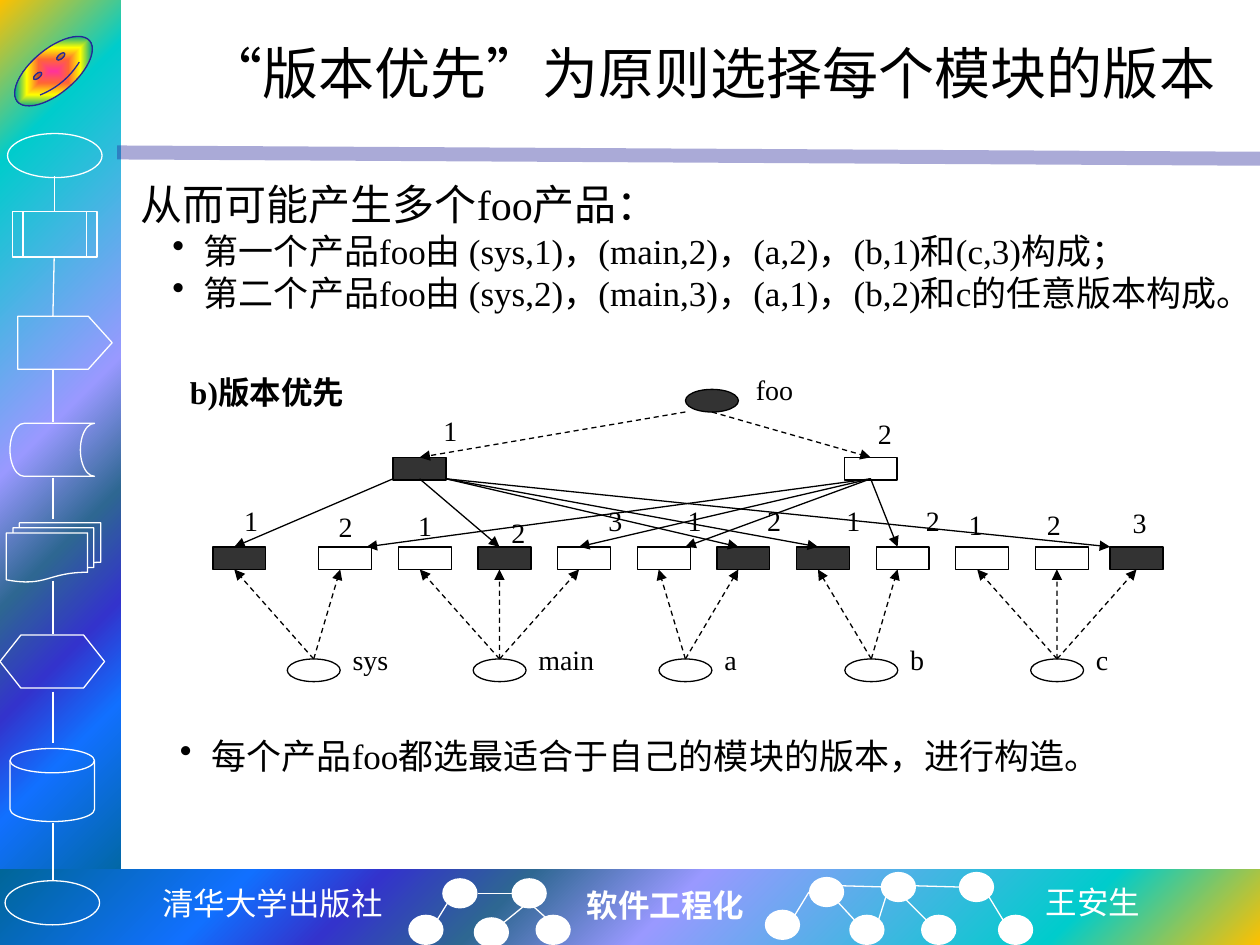
from dataclasses import dataclass

import pptx
import pptx.dml.color
import pptx.enum.dml
import pptx.enum.shapes
import pptx.enum.text
import pptx.oxml
import pptx.oxml.ns
import pptx.util

Inches, Pt = pptx.util.Inches, pptx.util.Pt
Shape = pptx.enum.shapes.MSO_SHAPE
Align = pptx.enum.text.PP_ALIGN
qn = pptx.oxml.ns.qn
NAMESPACE = 'xmlns:a="http://schemas.openxmlformats.org/drawingml/2006/main"'


@dataclass(frozen=True)
class Theme:
    black: str = "000000"
    white: str = "FFFFFF"
    selected: str = "333333"
    rule: str = "262699"
    band: tuple = ((0, "FFC000"), (16, "00CCCC"), (47, "9999FF"), (60, "2E6792"),
                   (71, "3333CC"), (81, "1170FF"), (100, "006699"))
    rainbow: tuple = ((0, "FF3399"), (25, "FF6633"), (50, "FFFF00"),
                      (75, "01A78F"), (100, "3366FF"))
    font: str = "Times New Roman"
    asian_font: str = "Noto Sans CJK SC"
    mono_font: str = "Noto Sans Mono"
    title_size: int = 32
    lead_size: int = 24
    bullet_size: int = 20
    caption_size: int = 18
    label_size: int = 16
    line_width: float = 0.75


class SlideBuilder:
    def __init__(self, slide, theme):
        self.slide, self.theme = slide, theme

    def rgb(self, value):
        return pptx.dml.color.RGBColor.from_string(value)

    def shape(self, kind, left, top, width, height, fill=None, line=None):
        shape = self.slide.shapes.add_shape(
            kind, Inches(left), Inches(top), Inches(width), Inches(height))
        shape.shadow.inherit = False
        if fill:
            shape.fill.solid()
            shape.fill.fore_color.rgb = self.rgb(fill)
        else:
            shape.fill.background()
        if line:
            shape.line.color.rgb = self.rgb(line)
            shape.line.width = Pt(self.theme.line_width)
        else:
            shape.line.fill.background()
        return shape

    def path_gradient(self, shape, stops, path, focus):
        """Fill from a focus, given as left, top, right and bottom percent."""
        stop_xml = "".join(f'<a:gs pos="{place * 1000}"><a:srgbClr val="{color}"/></a:gs>'
                           for place, color in stops)
        edges = " ".join(f'{side}="{value * 1000}"' for side, value in zip("ltrb", focus))
        gradient = pptx.oxml.parse_xml(
            f'<a:gradFill {NAMESPACE} rotWithShape="1"><a:gsLst>{stop_xml}</a:gsLst>'
            f'<a:path path="{path}"><a:fillToRect {edges}/></a:path></a:gradFill>')
        properties = shape.element.spPr
        properties.replace(properties.find(qn("a:noFill")), gradient)

    def line(self, start, end, color, width=None, dashed=False, arrow=False, alpha=None):
        connector = self.slide.shapes.add_connector(
            pptx.enum.shapes.MSO_CONNECTOR.STRAIGHT, *map(Inches, (*start, *end)))
        connector.line.color.rgb = self.rgb(color)
        connector.line.width = Pt(width or self.theme.line_width)
        if dashed:
            connector.line.dash_style = pptx.enum.dml.MSO_LINE.DASH
        properties = connector.element.spPr
        if arrow:
            properties.find(qn("a:ln")).append(
                pptx.oxml.parse_xml(f'<a:tailEnd {NAMESPACE} type="triangle"/>'))
        if alpha:
            properties.find(".//" + qn("a:srgbClr")).append(
                pptx.oxml.parse_xml(f'<a:alpha {NAMESPACE} val="{alpha * 1000}"/>'))
        properties.append(pptx.oxml.parse_xml(f"<a:effectLst {NAMESPACE}/>"))

    def span(self, para, text, size, color=None, bold=False, font=None):
        span = para.add_run()
        span.text = text
        span.font.size, span.font.bold = Pt(size), bold
        span.font.name = font or self.theme.font
        span.font.color.rgb = self.rgb(color or self.theme.black)
        span.font.fill.fore_color  # the solid fill precedes the typeface elements
        latin = span.font._element.find(qn("a:latin"))
        latin.addnext(pptx.oxml.parse_xml(
            f'<a:ea {NAMESPACE} typeface="{self.theme.asian_font}"/>'))

    def title(self, text, left, top, width, height):
        box = self.slide.shapes.title
        box.left, box.top, box.width, box.height = map(Inches, (left, top, width, height))
        box.text_frame.vertical_anchor = pptx.enum.text.MSO_ANCHOR.MIDDLE
        para = box.text_frame.paragraphs[0]
        para.alignment = Align.RIGHT
        self.span(para, text, self.theme.title_size)

    def text_box(self, left, top, width, height, wrap=True):
        box = self.slide.shapes.add_textbox(*map(Inches, (left, top, width, height)))
        box.text_frame.word_wrap = wrap
        return box.text_frame

    def label(self, text, left, top, width=0.63, height=0.54, indent=0, size=None, bold=False):
        para = self.text_box(left, top, width, height).paragraphs[0]
        para.alignment = Align.JUSTIFY
        if indent:
            para._p.get_or_add_pPr().set("indent", str(Inches(indent)))
            para.line_spacing = Pt(16.6)
        self.span(para, text, size or self.theme.label_size, bold=bold)

    def footer(self, text, left, top, width, bold=False, font=None):
        para = self.text_box(left, top, width, 0.4, wrap=False).paragraphs[0]
        self.span(para, text, self.theme.caption_size, self.theme.white, bold, font)

    def bullet(self, para, text):
        para.level = 1
        properties = para._p.get_or_add_pPr()
        properties.set("marL", str(Inches(0.5)))
        properties.set("indent", str(Inches(-0.25)))
        properties.append(pptx.oxml.parse_xml(f'<a:buChar {NAMESPACE} char="•"/>'))
        self.span(para, text, self.theme.bullet_size)


def draw_frame(page):
    theme = page.theme
    side = page.shape(Shape.RECTANGLE, 0, 0, 0.96, 7.09)
    page.path_gradient(side, theme.band, "circle", (0, 0, 100, 100))
    bottom = page.shape(Shape.RECTANGLE, 0, 6.9, 10, 0.6)
    page.path_gradient(bottom, theme.band, "circle", (100, 100, 0, 0))
    page.line((0.93, 1.21), (10, 1.26), theme.rule, width=8, alpha=39)

    for kind, *place in (
            (Shape.OVAL, 0.06, 1.06, 0.75, 0.35),
            (Shape.FLOWCHART_PREDEFINED_PROCESS, 0.1, 1.68, 0.67, 0.36),
            (Shape.PENTAGON, 0.14, 2.51, 0.75, 0.42),
            (Shape.FLOWCHART_STORED_DATA, 0.08, 3.36, 0.67, 0.42),
            (Shape.FLOWCHART_MULTIDOCUMENT, 0.05, 4.15, 0.75, 0.47),
            (Shape.FLOWCHART_PREPARATION, 0, 5.04, 0.83, 0.42),
            (Shape.FLOWCHART_MAGNETIC_DISK, 0.08, 5.94, 0.67, 0.58),
            (Shape.OVAL, 0.04, 6.99, 0.75, 0.35)):
        symbol = page.shape(kind, *place, line=theme.white)
        if kind == Shape.PENTAGON:
            symbol.adjustments[0] = 0.45
    for top, end in ((1.4, 1.68), (2.05, 2.51), (2.93, 3.35), (3.79, 4.12),
                     (4.61, 5.03), (5.49, 5.9), (6.53, 6.99)):
        page.line((0.43 if top < 2.5 else 0.42, top),
                  (0.43 if top < 2 else 0.42, end), theme.white)
    smiley = page.shape(Shape.SMILEY_FACE, 0.05, 0.39, 0.75, 0.35, line=theme.rule)
    page.path_gradient(smiley, theme.rainbow, "rect", (50, 50, 50, 50))
    smiley.rotation = -40

    for left, top in ((3.24, 7.26), (3.51, 6.97), (3.76, 7.28), (4.06, 6.97), (4.25, 7.26),
                      (6.07, 7.22), (6.42, 6.96), (6.74, 7.26), (6.99, 6.92), (7.31, 7.26),
                      (7.61, 6.92), (7.92, 7.26)):
        page.shape(Shape.OVAL, left, top, 0.28, 0.24, fill=theme.white)
    for start, end in (
            ((3.47, 7.3), (3.55, 7.17)), ((4, 7.32), (4.16, 7.19)), ((4.06, 7.09), (3.79, 7.09)),
            ((4.34, 7.29), (4.24, 7.2)), ((6.31, 7.26), (6.42, 7.08)), ((6.78, 7.3), (6.65, 7.16)),
            ((6.68, 7.03), (7.03, 7.04)), ((6.97, 7.31), (7.03, 7.12)), ((7.35, 7.3), (7.15, 7.1)),
            ((7.26, 7.03), (7.61, 7.04)), ((7.96, 7.3), (7.85, 7.12))):
        page.line(start, end, theme.white)

    page.footer("清华大学出版社", 1.19, 6.97, 1.97, font=theme.mono_font)
    page.footer("软件工程化", 4.56, 6.98, 1.46, bold=True)
    page.footer("王安生", 8.2, 6.96, 0.96, font=theme.asian_font)


def draw_version_graph(page):
    black, selected = page.theme.black, page.theme.selected
    node = (0.42, 0.18)
    product_top, product_bottom, version_top, version_bottom, module_top = 3.63, 3.8, 4.34, 4.52, 5.23
    centers = [1.86] + [2.7 + 0.632 * step for step in range(11)]

    page.label("b)版本优先", 1.41, 2.91, 1.5, size=page.theme.caption_size, bold=True)
    page.shape(Shape.OVAL, 5.44, 3.09, *node, fill=selected, line=black)
    page.label("foo", 5.9, 2.91)
    for text, left, fill, label_left, label_top, start in (
            ("1", 3.12, selected, 3.12, 3.27, 5.44), ("2", 6.7, None, 6.57, 3.29, 5.65)):
        page.shape(Shape.RECTANGLE, left, product_top, *node, fill=fill, line=black)
        page.label(text, label_left, label_top, indent=0.3)
        page.line((start, 3.27), (left + 0.21, product_top), black, dashed=True, arrow=True)

    version_labels = (
        ("1", 1.54, 3.98), ("2", 2.29, 4.03), ("1", 2.92, 4.02), ("2", 3.66, 4.08),
        ("3", 4.43, 3.98), ("1", 5.06, 3.98), ("2", 5.69, 3.98), ("1", 6.32, 3.98),
        ("2", 6.95, 3.98), ("1", 7.59, 3.98), ("2", 8.21, 3.98), ("3", 8.59, 4))
    for index, (text, left, top) in enumerate(version_labels):
        cell_left = 8.81 if index == 11 else centers[index] - 0.17
        page.shape(Shape.RECTANGLE, cell_left, version_top, *node, line=black,
                   fill=selected if index in (0, 3, 6, 7, 11) else None)
        page.label(text, left, top, width=0.42 if index == 11 else 0.63,
                   indent=0 if index in (9, 10) else 0.3)

    first = 0
    for index, (name, count) in enumerate((("sys", 2), ("main", 3), ("a", 2), ("b", 2), ("c", 3))):
        left = 2.28 + 1.475 * index
        page.shape(Shape.OVAL, left, module_top, *node, line=black)
        page.label(name, left + 0.42, 5.05, width=0.84)
        for center in centers[first:first + count]:
            page.line((left + 0.21, module_top), (center, version_bottom), black,
                      dashed=True, arrow=True)
        first += count

    for start, end in ((3.12, centers[0]), (3.33, centers[3]), (3.54, centers[6]),
                       (3.54, centers[7]), (3.54, 8.81), (6.91, 2.91), (6.91, centers[4]),
                       (6.91, 5.44), (6.91, centers[8])):
        page.line((start, product_bottom), (end, version_top), black, arrow=True)


def main():
    deck = pptx.Presentation()
    deck.slide_width, deck.slide_height = Inches(10), Inches(7.5)
    page = SlideBuilder(deck.slides.add_slide(deck.slide_layouts[5]), Theme())
    draw_frame(page)
    page.title("“版本优先”为原则选择每个模块的版本", 1.25, 0.17, 8.5, 0.81)
    body = page.text_box(1.02, 1.37, 8.84, 1.18)
    page.span(body.paragraphs[0], "从而可能产生多个foo产品：", page.theme.lead_size)
    for text in ("第一个产品foo由 (sys,1)，(main,2)，(a,2)，(b,1)和(c,3)构成；",
                 "第二个产品foo由 (sys,2)，(main,3)，(a,1)，(b,2)和c的任意版本构成。"):
        page.bullet(body.add_paragraph(), text)
    closing = page.text_box(1.08, 5.78, 8.01, 0.44)
    page.bullet(closing.paragraphs[0], "每个产品foo都选最适合于自己的模块的版本，进行构造。")
    draw_version_graph(page)
    deck.save("out.pptx")


if __name__ == "__main__":
    main()
